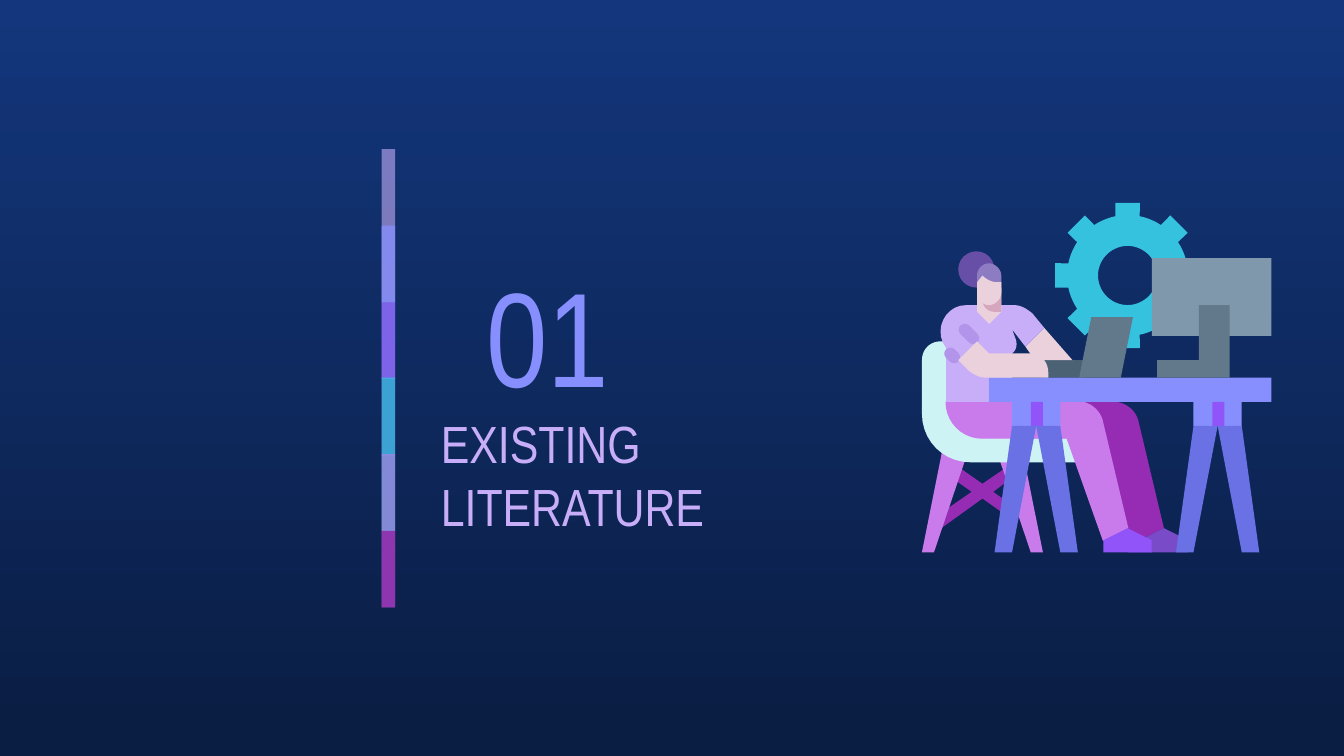
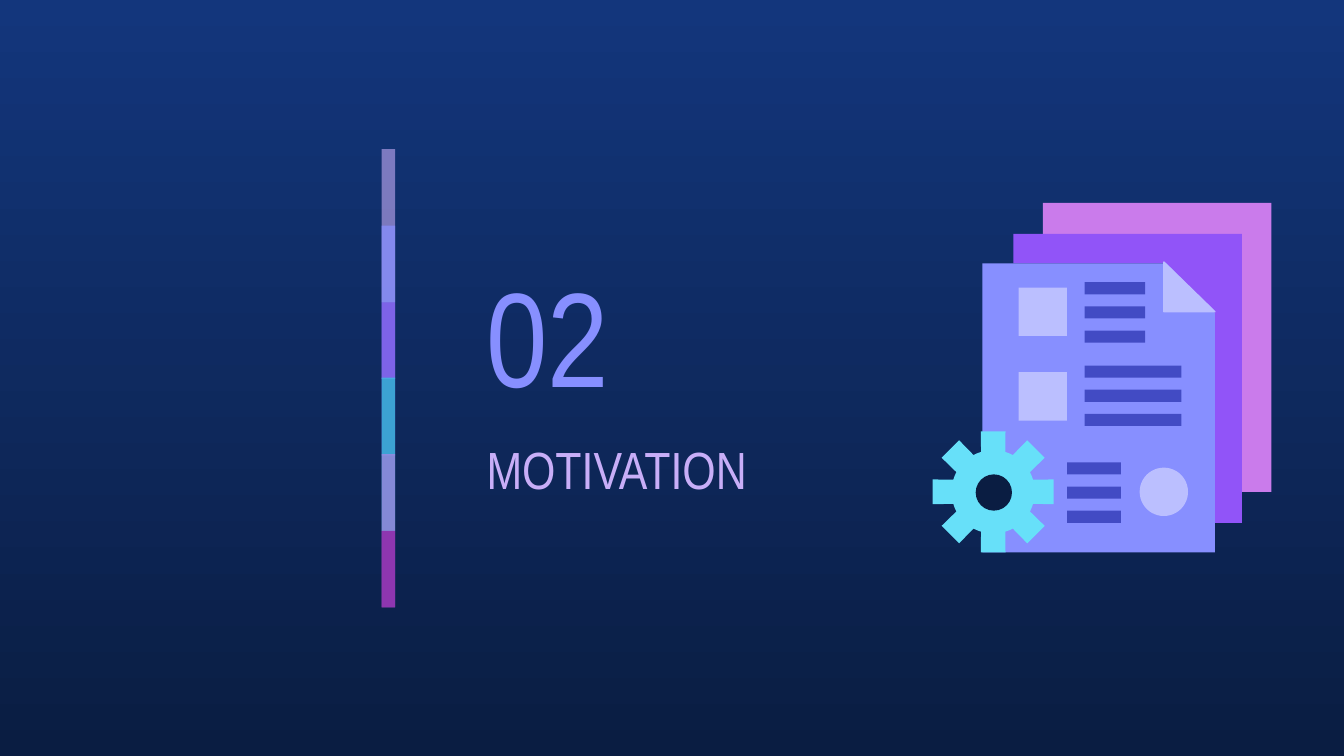
from math import asin, cos, pi, sin

from lxml.etree import SubElement
from pptx import Presentation
from pptx.dml.color import RGBColor
from pptx.enum.shapes import MSO_SHAPE
from pptx.enum.text import MSO_ANCHOR, MSO_AUTO_SIZE, PP_ALIGN
from pptx.oxml.ns import qn
from pptx.util import Emu, Pt

EMU_PER_PX = 9144
FONT = "Arial Narrow"
COLORS = {
    "sky": "13367C",
    "night": "0A1D42",
    "lilac": "C8AEF8",
    "fold": "B394EB",
    "periwinkle": "878FFF",
    "pale": "BBBFFF",
    "indigo": "6971E5",
    "ink": "424BC4",
    "violet": "9154F8",
    "shade": "794BC8",
    "bun": "674EA7",
    "hair": "8E7CC3",
    "orchid": "CA7BEB",
    "plum": "972CB4",
    "teal": "35C2DF",
    "cyan": "67E0F9",
    "mint": "CEF3F5",
    "skin": "EAD1DC",
    "chin": "D5A6BD",
    "screen": "8098AB",
    "steel": "62798C",
    "slate": "4B6275",
}


def px(value):
    return Emu(round(value * EMU_PER_PX))


def rgb(name):
    return RGBColor.from_string(COLORS[name])


def bezier(start, step):
    x1, y1, x2, y2, x3, y3 = step
    for t in (i / 10 for i in range(1, 11)):
        u = 1 - t
        weights = (u ** 3, 3 * u * u * t, 3 * u * t * t, t ** 3)
        yield (
            sum(w * x for w, x in zip(weights, (start[0], x1, x2, x3))),
            sum(w * y for w, y in zip(weights, (start[1], y1, y2, y3))),
        )


def polar(center, radius, angle):
    return center[0] + radius * cos(angle), center[1] + radius * sin(angle)


class Deck:
    def __init__(self):
        self.prs = Presentation()
        self.prs.slide_width = px(1000)
        self.prs.slide_height = self.prs.slide_width * 9 // 16
        self.layout = self.prs.slide_layouts[0]
        self.slide = None
        backdrop = self.layout.background.fill
        backdrop.gradient()
        backdrop.gradient_angle = 270
        for stop, color in zip(backdrop.gradient_stops, ("sky", "night")):
            stop.color.rgb = rgb(color)

    def paint(self, shape, color, opacity=100, edged=False):
        shape.shadow.inherit = False
        shape.fill.solid()
        shape.fill.fore_color.rgb = rgb(color)
        if opacity < 100:
            tint = shape.element.spPr.find(".//" + qn("a:srgbClr"))
            SubElement(tint, qn("a:alpha")).set("val", str(opacity * 1000))
        if edged:
            shape.line.color.rgb = rgb(color)
            shape.line.width = Pt(0.75)
        else:
            shape.line.fill.background()

    def preset(self, kind, color, box, opacity=100):
        shape = self.slide.shapes.add_shape(kind, *map(px, box))
        self.paint(shape, color, opacity)
        return shape

    def rect(self, color, *box, opacity=100):
        return self.preset(MSO_SHAPE.RECTANGLE, color, box, opacity)

    def oval(self, color, *box):
        return self.preset(MSO_SHAPE.OVAL, color, box)

    def pill(self, color, *box, angle):
        shape = self.preset(MSO_SHAPE.ROUNDED_RECTANGLE, color, box)
        shape.adjustments[0] = 0.5
        shape.rotation = angle

    def contours(self, color, *rings, edged=False):
        builder = None
        for ring in rings:
            points = [tuple(map(px, point)) for point in ring]
            if builder is None:
                builder = self.slide.shapes.build_freeform(*points[0], scale=1.0)
            else:
                builder.move_to(*points[0])
            builder.add_line_segments(points[1:], close=True)
        self.paint(builder.convert_to_shape(), color, edged=edged)

    def outline(self, color, *steps, edged=False):
        points = []
        for step in steps:
            if len(step) == 2:
                points.append(step)
            else:
                points.extend(bezier(points[-1], step))
        self.contours(color, points, edged=edged)

    def gear(self, color, center, tip, body, hole=0):
        rim = []
        tip_half, root_half = asin(9 / tip), asin(9 / body)
        reach = tip / cos(tip_half)
        for tooth in range(8):
            mid = tooth * pi / 4
            rim += [
                polar(center, body, mid - root_half),
                polar(center, reach, mid - tip_half),
                polar(center, reach, mid + tip_half),
                polar(center, body, mid + root_half),
            ]
            gap = pi / 4 - 2 * root_half
            rim += [polar(center, body, mid + root_half + gap * i / 5) for i in range(1, 5)]
        rings = [rim]
        if hole:
            rings.append([polar(center, hole, -i * pi / 30) for i in range(60)])
        self.contours(color, *rings)

    def placeholder_text(self, placeholder, text, size, color, box):
        placeholder.left, placeholder.top, placeholder.width, placeholder.height = map(px, box)
        frame = placeholder.text_frame
        frame.word_wrap = True
        frame.auto_size = MSO_AUTO_SIZE.NONE
        frame.vertical_anchor = MSO_ANCHOR.MIDDLE
        frame.margin_left = frame.margin_right = px(10)
        frame.margin_top = frame.margin_bottom = px(10)
        paragraph = frame.paragraphs[0]
        paragraph.alignment = PP_ALIGN.LEFT
        paragraph.space_before = Pt(0)
        run = paragraph.add_run()
        run.text = text
        run.font.name = FONT
        run.font.size = Pt(size)
        run.font.color.rgb = rgb(color)

    def band(self):
        tints = (("lilac", 59), ("periwinkle", 74), ("violet", 53),
                 ("teal", 76), ("orchid", 56), ("plum", 74))
        for row, (color, opacity) in enumerate(tints):
            height = 57 if row == len(tints) - 1 else 114
            self.rect(color, 284, round(111 + 56.8 * row), 10, height, opacity=opacity)

    def section(self, number, heading, heading_box):
        self.slide = self.prs.slides.add_slide(self.layout)
        self.band()
        self.placeholder_text(self.slide.placeholders[1], number, 72, "periwinkle",
                              (352, 181, 175, 135))
        self.placeholder_text(self.slide.shapes.title, heading, 28, "lilac", heading_box)


def draw_chair(deck):
    deck.outline("plum", (711, 346), (706, 354), (723, 366), (694, 386), (699, 394),
                 (731, 371), (748, 383), (753, 376), (739, 366), (755, 354),
                 (750, 347), (731, 360))
    for x, side in ((740, 1), (722, -1)):
        deck.outline("orchid", (x, 331), (x + 27 * side, 411),
                     (x + 36 * side, 411), (x + 20 * side, 331))
    deck.outline("mint", (700, 254), (692, 254, 686, 260, 686, 268), (686, 308),
                 (686, 328, 702, 344, 722, 344), (807, 344), (807, 322), (731, 322),
                 (719, 322, 709, 312, 709, 299), (709, 254))


def draw_legs(deck):
    for x, heel, trousers, shoe, edged in ((731, 839, "plum", "shade", False),
                                           (704, 821, "orchid", "violet", True)):
        deck.outline(trousers, (x, 299), (x, 314, x + 12, 326, x + 27, 326),
                     (x + 90, 326), (heel, 402), (x + 117, 402), (x + 135, 393),
                     (x + 116, 313), (x + 114, 305, x + 106, 299, x + 98, 299),
                     edged=edged)
        deck.outline(shoe, (x + 135, 393), (x + 117, 402), (heel, 402), (heel, 411),
                     (x + 153, 411), (x + 153, 402))


def draw_torso(deck):
    deck.outline("skin", (763, 258), (770, 268), (798, 268), (777, 244))
    deck.outline("lilac", (719, 227), (703, 227, 694, 246, 704, 259), (704, 299),
                 (753, 299), (753, 263), (756, 261, 757, 257, 756, 253), (753, 245),
                 (763, 258), (777, 244), (768, 233), (764, 230, 760, 227, 754, 227))


def draw_head_and_arm(deck):
    deck.pill("fold", 702, 260, 13, 9, angle=45)
    deck.pill("fold", 712, 244, 18, 9, angle=45)
    deck.outline("skin", (727, 214), (727, 232), (736, 241), (745, 232), (745, 214))
    deck.outline("skin", (727, 254), (713, 268), (721, 276),
                 (725, 279, 729, 281, 734, 281), (780, 281), (780, 277),
                 (780, 269, 774, 263, 767, 263), (736, 263))
    deck.outline("chin", (731, 214), (731, 223), (731, 228, 735, 232, 740, 232),
                 (745, 232), (745, 214))
    deck.oval("bun", 713, 187, 27, 27)
    deck.outline("hair", (736, 196), (731, 196, 727, 200, 727, 205), (727, 214),
                 (745, 214), (745, 205), (745, 200, 740, 196, 736, 196))
    deck.outline("skin", (731, 205), (727, 210), (727, 218),
                 (727, 223, 731, 227, 736, 227), (740, 227, 745, 223, 745, 218),
                 (745, 210), (742, 210), (738, 210, 734, 208, 731, 205))


def draw_desk(deck):
    deck.rect("periwinkle", 736, 281, 210, 18)
    deck.outline("steel", (812, 236), (803, 281), (834, 281), (843, 236))
    deck.rect("screen", 857, 192, 89, 58)
    deck.outline("steel", (892, 227), (892, 268), (861, 268), (861, 281),
                 (915, 281), (915, 227))
    for x in (753, 888):
        deck.rect("periwinkle", x, 299, 36, 18)
        deck.rect("violet", x + 14, 299, 9, 18)
        deck.outline("indigo", (x, 317), (x - 13, 411), (x, 411), (x + 18, 317))
        deck.outline("indigo", (x + 18, 317), (x + 36, 411), (x + 49, 411), (x + 36, 317))


def draw_worker(deck):
    deck.gear("teal", (839, 205), tip=54, body=45, hole=22)
    deck.rect("slate", 776, 268, 31, 13)
    draw_chair(deck)
    draw_legs(deck)
    draw_torso(deck)
    draw_desk(deck)
    draw_head_and_arm(deck)


def draw_documents(deck):
    deck.outline("orchid", (776, 151), (776, 174), (924, 174), (924, 366),
                 (946, 366), (946, 151))
    deck.outline("violet", (754, 174), (754, 196), (866, 196), (901, 232),
                 (901, 389), (924, 389), (924, 174))
    deck.outline("periwinkle", (731, 196), (731, 411), (904, 411), (904, 233), (868, 196))
    deck.gear("cyan", (739, 366), tip=45, body=31)
    deck.oval("night", 726, 353, 27, 27)
    for top in (214, 277):
        deck.rect("pale", 758, top, 36, 36)
    deck.oval("pale", 848, 348, 36, 36)
    for left, top, width in ((807, 210, 45), (807, 272, 72), (794, 344, 40)):
        for row in range(3):
            deck.rect("ink", left, top + 18 * row, width, 9)
    deck.outline("pale", (866, 195), (866, 232), (904, 232), edged=True)


def main():
    deck = Deck()
    deck.section("01", "EXISTING LITERATURE", (318, 319, 366, 67))
    draw_worker(deck)
    deck.section("02", "MOTIVATION", (352, 315, 287, 67))
    draw_documents(deck)
    deck.prs.save("out.pptx")


if __name__ == "__main__":
    main()
